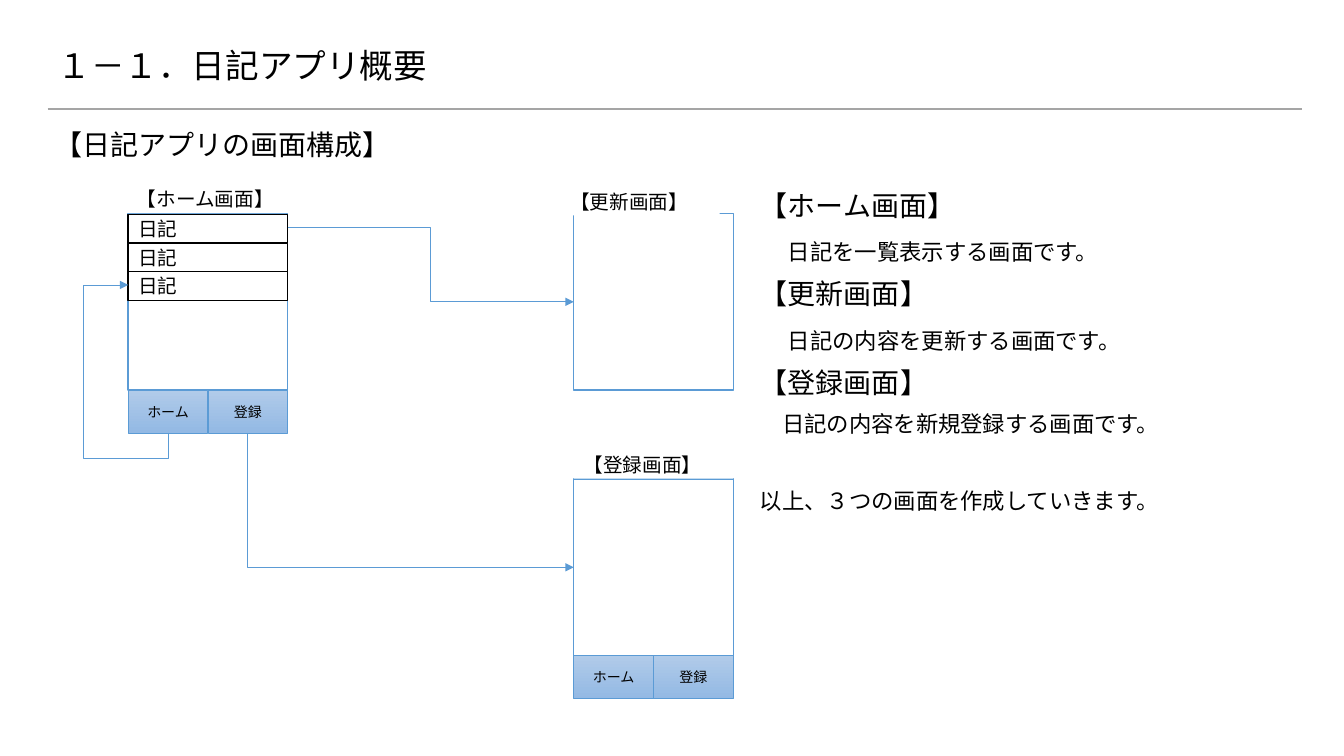
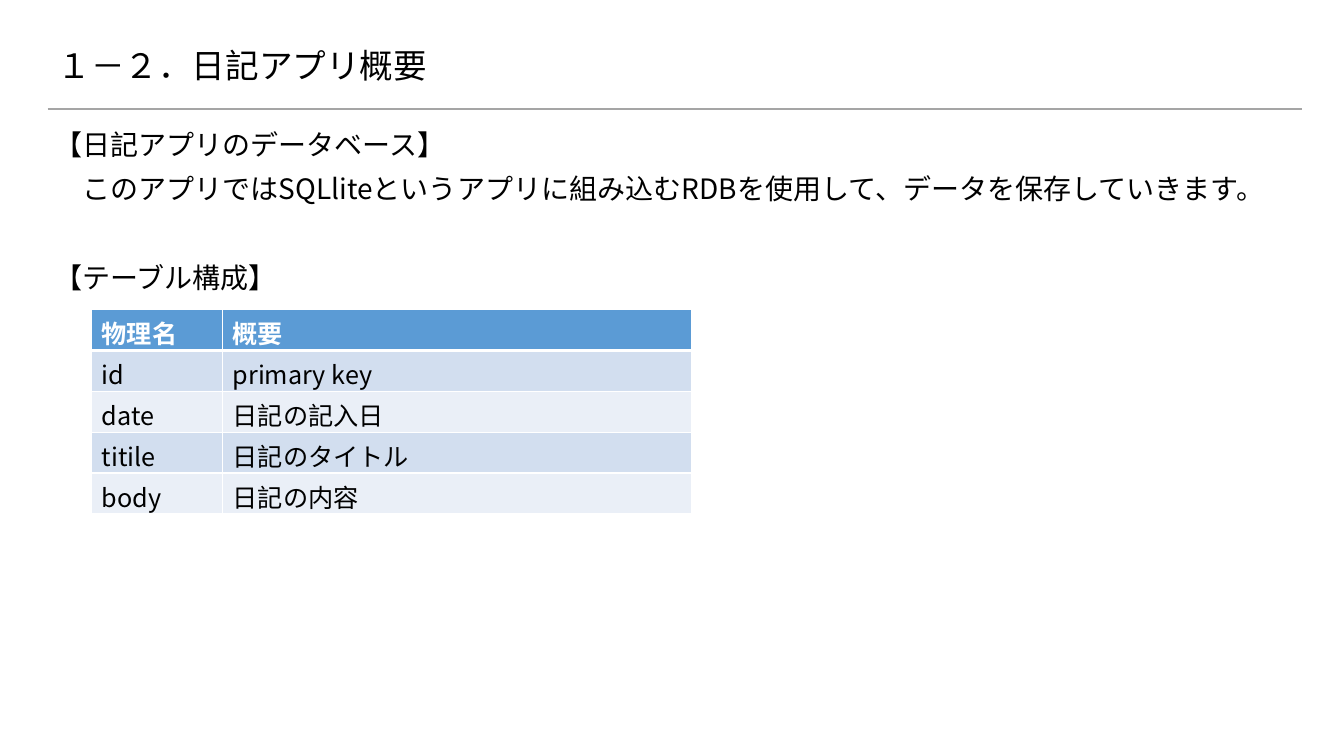
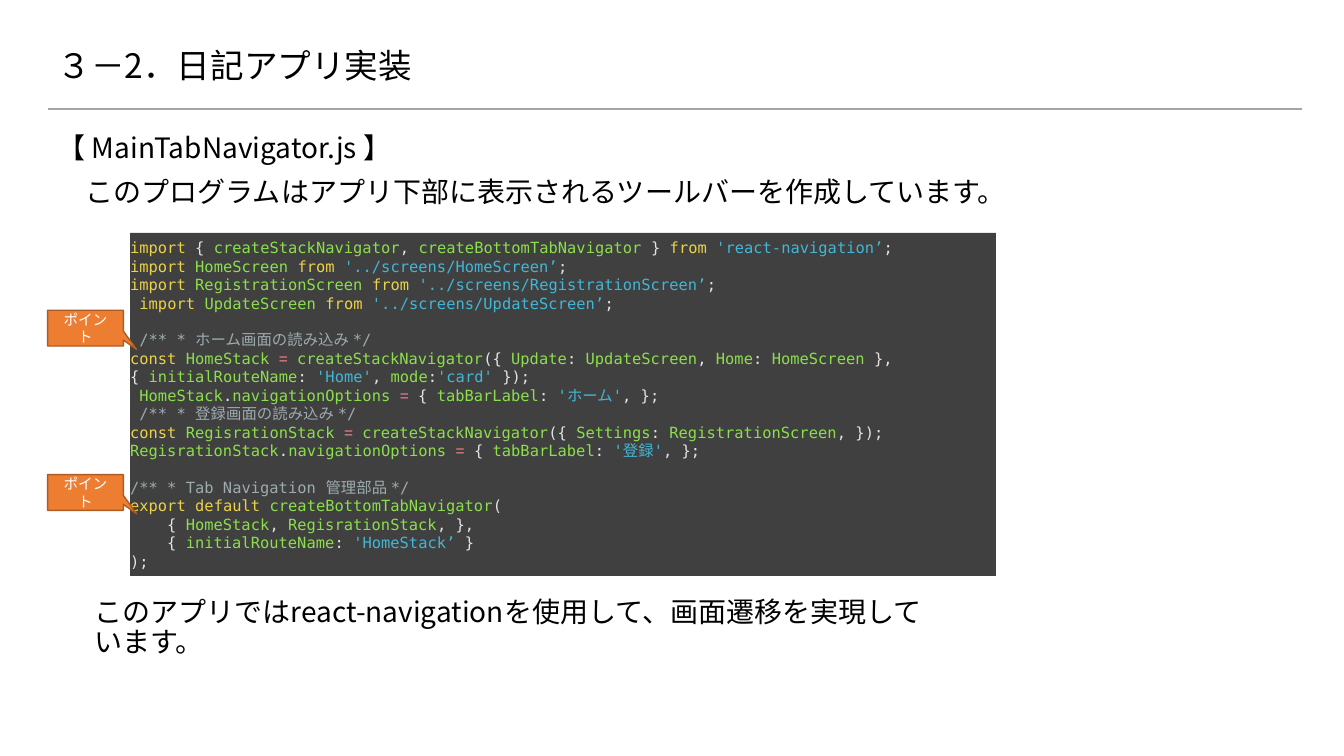
from dataclasses import dataclass
from itertools import groupby

from lxml.etree import SubElement
from pptx import Presentation
from pptx.dml.color import RGBColor
from pptx.enum.shapes import MSO_CONNECTOR, MSO_SHAPE
from pptx.enum.text import MSO_ANCHOR, PP_ALIGN
from pptx.oxml.ns import qn
from pptx.util import Cm, Pt


@dataclass(frozen=True)
class Theme:
    font: str = "Noto Sans CJK JP"
    mono: str = "DejaVu Sans Mono"
    symbol: str = "Arial"
    black: str = "000000"
    white: str = "FFFFFF"
    rule: str = "A5A5A5"
    blue: str = "5B9BD5"
    tab: tuple = ("B1CBE9", "93B9E4")
    bands: tuple = ("D2DEEF", "EAEFF7")
    orange: str = "ED7D31"
    orange_line: str = "AF5C24"
    code_back: str = "404040"
    keyword: str = "EBD247"
    name: str = "8BDF4C"
    string: str = "41B7D7"
    operator: str = "FF8095"
    comment: str = "9DABAE"
    plain: str = "E3E3E3"
    title: float = 24
    body: float = 20
    cell: float = 18
    detail: float = 16
    label: float = 14
    code: float = 11
    callout: float = 10.5
    button: float = 10


T = Theme()
DETAIL = {"size": T.detail}

# Content. An empty string is a gap of one line.
SCREENS_TITLE = "１－１．日記アプリ概要"
SCREENS_HEADING = ["【日記アプリの画面構成】"]
TABS = ["ホーム", "登録"]
DIARY_ROWS = ["日記"] * 3
SCREENS = [  # label, label position, frame position, has tabs
    ("【ホーム画面】", (3.2, 4.66), (3.23, 5.38), True),
    ("【更新画面】", (14.12, 4.72), (14.46, 5.38), False),
    ("【登録画面】", (14.46, 11.35), (14.46, 12.07), True),
]
SCREEN_NOTES = [
    "【ホーム画面】",
    ["　", ("日記を一覧表示する画面です。", DETAIL)],
    "【更新画面】　",
    ["　", ("日記の内容を更新する画面です。", DETAIL)],
    "【登録画面】",
    [("　日記の内容を新規登録する画面です。", DETAIL)],
    "",
    [("以上、３つの画面を作成していきます。", DETAIL)],
]

DATABASE_TITLE = "１－２．日記アプリ概要"
DATABASE_NOTES = [
    "【日記アプリのデータベース】",
    "　このアプリではSQLliteというアプリに組み込むRDBを使用して、データを保存していきます。",
    "",
    "【テーブル構成】",
]
COLUMNS = [
    ("物理名", "概要"),
    ("id", "primary key"),
    ("date", "日記の記入日"),
    ("titile", "日記のタイトル"),
    ("body", "日記の内容"),
]

CODE_TITLE = "３－2．日記アプリ実装"
CODE_HEADING = [
    "【 MainTabNavigator.js 】",
    "　このプログラムはアプリ下部に表示されるツールバーを作成しています。",
]
CODE_SUMMARY = ["このアプリではreact-navigationを使用して、画面遷移を実現しています。"]
CALLOUT, CALLOUT_TOPS = "ポイント", (7.82, 11.96)
KEYWORDS = {"import", "from", "const", "export", "default"}
CODE = """\
import { createStackNavigator, createBottomTabNavigator } from 'react-navigation’;
import HomeScreen from '../screens/HomeScreen’;
import RegistrationScreen from '../screens/RegistrationScreen’;
 import UpdateScreen from '../screens/UpdateScreen’;

 /** * ホーム画面の読み込み */
const HomeStack = createStackNavigator({ Update: UpdateScreen, Home: HomeScreen },{ initialRouteName: 'Home', mode:'card' });
 HomeStack.navigationOptions = { tabBarLabel: 'ホーム', };
 /** * 登録画面の読み込み */
const RegisrationStack = createStackNavigator({ Settings: RegistrationScreen, });
RegisrationStack.navigationOptions = { tabBarLabel: '登録', };

/** * Tab Navigation 管理部品 */
export default createBottomTabNavigator(
    { HomeStack, RegisrationStack, },
    { initialRouteName: 'HomeStack’ }
);""".split("\n")


def rgb(value):
    return RGBColor.from_string(value)


def box(x, y, w, h):
    return Cm(x), Cm(y), Cm(w), Cm(h)


def write(tf, paras, size=T.body, color=T.black, font=T.font, bold=False,
          align=PP_ALIGN.LEFT, anchor=MSO_ANCHOR.TOP, spacing=None, before=0, blank=0):
    """Fill a text frame; a paragraph is a string or a list of runs, a run a string or (text, format)."""
    tf.word_wrap, tf.vertical_anchor = True, anchor
    gap, p = 0, None
    for para in paras:
        if not para:
            gap = blank
            continue
        p = tf.add_paragraph() if p else tf.paragraphs[0]
        p.alignment, p.line_spacing, p.space_before = align, spacing, Pt(before + gap)
        gap = 0
        for run in [para] if isinstance(para, str) else para:
            text, extra = (run, {}) if isinstance(run, str) else run
            look = {"size": size, "color": color, "font": font, **extra}
            r = p.add_run()
            r.text = text
            r.font.size, r.font.bold, r.font.name = Pt(look["size"]), bold, look["font"]
            r.font.color.rgb = rgb(look["color"])
            SubElement(r.font._element, qn("a:ea"), typeface=T.font)


def add_text(s, place, paras, **fmt):
    tf = s.shapes.add_textbox(*box(*place)).text_frame
    write(tf, paras, **{"spacing": 0.9, "before": 10, **fmt})


def add_box(s, place, text="", kind=MSO_SHAPE.RECTANGLE, fill=T.white, line=None, width=1, **fmt):
    sp = s.shapes.add_shape(kind, *box(*place))
    sp.shadow.inherit = False
    if isinstance(fill, tuple):
        sp.fill.gradient()
        sp.fill.gradient_angle = 270
        for stop, color in zip(sp.fill.gradient_stops, fill):
            stop.color.rgb = rgb(color)
    else:
        sp.fill.solid()
        sp.fill.fore_color.rgb = rgb(fill)
    if line:
        sp.line.color.rgb, sp.line.width = rgb(line), Pt(width)
    else:
        sp.line.fill.background()
    if text:
        write(sp.text_frame, [text], anchor=MSO_ANCHOR.MIDDLE, **fmt)
    return sp


def add_line(s, x1, y1, x2, y2, color, width, kind=MSO_CONNECTOR.STRAIGHT):
    c = s.shapes.add_connector(kind, Cm(x1), Cm(y1), Cm(x2), Cm(y2))
    c.line.color.rgb, c.line.width = rgb(color), Pt(width)
    SubElement(c._element.spPr, qn("a:effectLst"))
    return c


def add_arrow(s, start, end, preset, turn=0, adjust=()):
    """Bent arrow; a turned one is mirrored in a frame with width and height swapped."""
    (x1, y1), (x2, y2) = start, end
    w, h = abs(x2 - x1), abs(y2 - y1)
    if turn:
        w, h = h, w
    x, y = (x1 + x2 - w) / 2, (y1 + y2 - h) / 2
    c = add_line(s, x, y, x + w, y + h, T.blue, 0.5, MSO_CONNECTOR.ELBOW)
    spPr = c._element.spPr
    if turn:
        xfrm = spPr.find(qn("a:xfrm"))
        xfrm.set("rot", str(turn * 60000))
        xfrm.set("flipH", "1")
    geom = spPr.find(qn("a:prstGeom"))
    geom.set("prst", preset)
    for i, value in enumerate(adjust, 1):
        SubElement(geom.find(qn("a:avLst")), qn("a:gd"), name=f"adj{i}", fmla=f"val {value}")
    SubElement(spPr.find(qn("a:ln")), qn("a:tailEnd"), type="triangle")


def add_page(prs, title):
    s = prs.slides.add_slide(prs.slide_layouts[6])
    add_line(s, 1.2, 2.75, 32.82, 2.75, T.rule, 1.5)
    add_text(s, (1.2, 0.95, 29.21, 1.5), [title], size=T.title, before=0, anchor=MSO_ANCHOR.MIDDLE)
    return s


def build_screens(prs):
    s = add_page(prs, SCREENS_TITLE)
    add_text(s, (1.12, 3.18, 31.6, 1.5), SCREENS_HEADING)
    w, h, tab_h, row_h = 4.02, 4.45, 1.08, 0.72
    tab_w = w / len(TABS)
    for label, label_at, (x, y), has_tabs in SCREENS:
        add_box(s, (x, y, w, h), line=T.blue)
        add_box(s, (*label_at, w, 0.71), label, size=T.label)
        for i, tab in enumerate(TABS if has_tabs else []):
            add_box(s, (x + i * tab_w, y + h, tab_w, tab_h), tab, fill=T.tab, line=T.blue,
                    width=0.5, size=T.button, align=PP_ALIGN.CENTER)
    (home_x, home_y), (update_x, update_y), (entry_x, entry_y) = [place for _, _, place, _ in SCREENS]
    for i, row in enumerate(DIARY_ROWS):
        add_box(s, (home_x, home_y + 0.03 + i * row_h, w, row_h), row, line=T.black, size=T.label)

    tabs_bottom = home_y + h + tab_h
    add_arrow(s, (home_x + w, home_y + row_h / 2), (update_x, update_y + h / 2), "bentConnector3")
    add_arrow(s, (home_x + 1.5 * tab_w, tabs_bottom), (entry_x, entry_y + h / 2),
              "bentConnector2", turn=270)
    add_arrow(s, (home_x + tab_w / 2, tabs_bottom), (home_x, home_y + 2.5 * row_h),
              "bentConnector4", turn=90, adjust=(-17000, 213000))
    add_text(s, (18.9, 4.72, 14.27, 8.46), SCREEN_NOTES, blank=27.5)


def set_borders(cell, **widths):
    for side, width in widths.items():
        ln = SubElement(cell._tc.get_or_add_tcPr(), qn(f"a:ln{side}"), w=str(Pt(width)))
        SubElement(SubElement(ln, qn("a:solidFill")), qn("a:srgbClr"), val=T.white)


def build_database(prs):
    s = add_page(prs, DATABASE_TITLE)
    add_text(s, (1.12, 3.18, 31.6, 14.4), DATABASE_NOTES, blank=31.7)
    widths, row_h = (3.3, 11.83), 1.03
    place = box(2.31, 7.8, sum(widths), row_h * len(COLUMNS))
    table = s.shapes.add_table(len(COLUMNS), len(widths), *place).table
    for column, width in zip(table.columns, widths):
        column.width = Cm(width)
    for i, values in enumerate(COLUMNS):
        head = i == 0
        for j, value in enumerate(values):
            cell = table.cell(i, j)
            set_borders(cell, L=1, R=1, T=3 if i == 1 else 1, B=3 if head else 1)
            cell.fill.solid()
            cell.fill.fore_color.rgb = rgb(T.blue if head else T.bands[(i - 1) % 2])
            write(cell.text_frame, [value], size=T.cell, bold=head,
                  color=T.white if head else T.black)


def highlight(line):
    """Split a line of code into coloured runs."""
    if line.startswith("/**"):
        return [(line, {"color": T.comment})]
    marked, quoted = [], False
    for ch in line:
        quote = ch in "'’"
        if quoted or quote:
            kind = "string"
        elif ch.isalnum():
            kind = "name"
        else:
            kind = "operator" if ch == "=" else "plain"
        quoted ^= quote
        marked.append((kind, ch))
    runs = []
    for kind, group in groupby(marked, key=lambda pair: pair[0]):
        text = "".join(ch for _, ch in group)
        kind = "keyword" if kind == "name" and text in KEYWORDS else kind
        font = T.symbol if kind == "operator" else T.mono
        runs.append((text, {"color": getattr(T, kind), "font": font}))
    return runs


def build_code(prs):
    s = add_page(prs, CODE_TITLE)
    add_text(s, (1.2, 3.25, 31.1, 2.16), CODE_HEADING)
    tf = add_box(s, (3.28, 5.87, 21.82, 8.64), fill=T.code_back).text_frame
    tf.margin_left = tf.margin_right = tf.margin_top = tf.margin_bottom = 0
    write(tf, [highlight(line.lstrip()) for line in CODE], size=T.code, font=T.mono,
          anchor=MSO_ANCHOR.MIDDLE, blank=13)
    char_w = Pt(T.code * 0.602)
    for p, line in zip(tf.paragraphs, filter(None, CODE)):
        indent = len(line) - len(line.lstrip())
        p._p.get_or_add_pPr().set("marL", str(indent * char_w))
    add_text(s, (2.13, 14.94, 22.05, 1.55), CODE_SUMMARY)
    for top in CALLOUT_TOPS:
        sp = add_box(s, (1.2, top, 1.91, 0.9), CALLOUT, MSO_SHAPE.RECTANGULAR_CALLOUT, T.orange,
                     T.orange_line, size=T.callout, color=T.white, align=PP_ALIGN.CENTER)
        sp.adjustments[0], sp.adjustments[1] = 0.675, 0.597


def main():
    prs = Presentation()
    prs.slide_width, prs.slide_height = Cm(33.87), Cm(19.05)
    for build in (build_screens, build_database, build_code):
        build(prs)
    prs.save("out.pptx")


if __name__ == "__main__":
    main()
